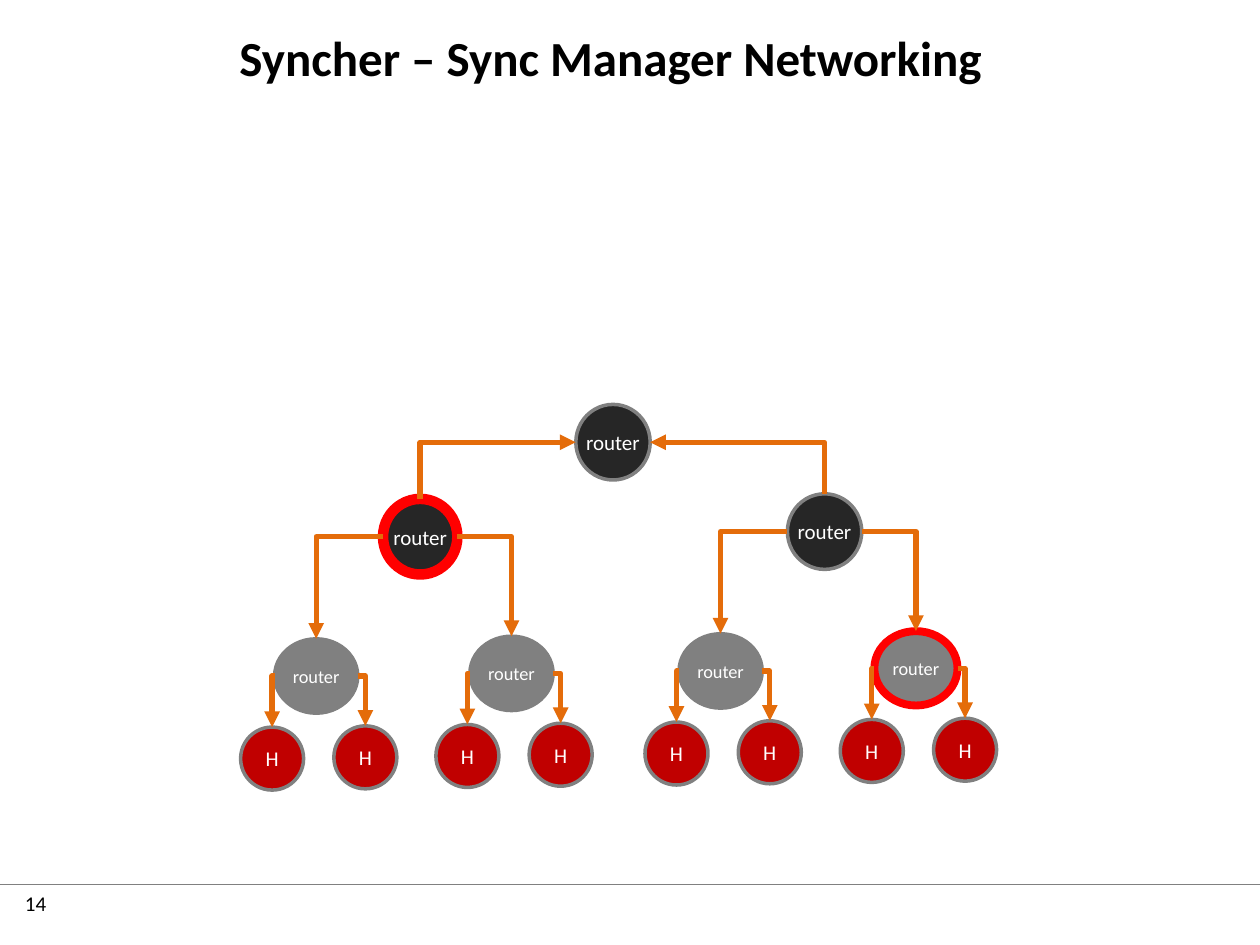
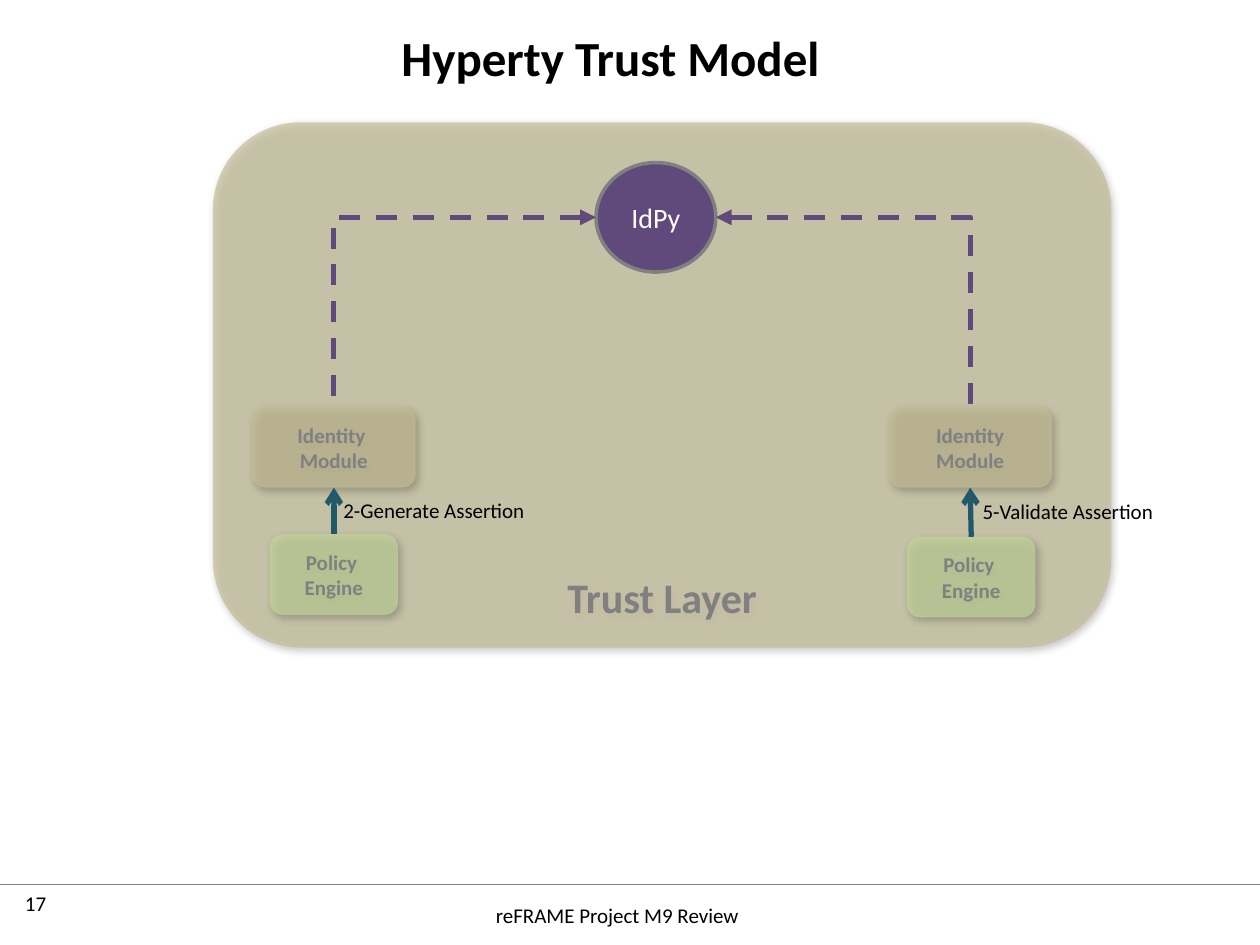
from dataclasses import dataclass

from lxml import etree
from pptx import Presentation
from pptx.dml.color import RGBColor
from pptx.enum import dml, shapes, text
from pptx.oxml.ns import qn
from pptx.util import Pt


@dataclass(frozen=True)
class Theme:
    font: str = "Calibri"
    ink: str = "000000"
    white: str = "FFFFFF"
    grey: str = "808080"
    dark: str = "262626"
    host: str = "C00000"
    highlight: str = "FF0000"
    link: str = "E46C0A"
    identity: str = "604A7B"
    assertion: str = "215968"
    sand: str = "C4BD97"
    green: str = "C3D69B"
    title_size: float = 28
    layer_size: float = 24
    provider_size: float = 16
    body_size: float = 12
    small_size: float = 10.5
    outline: float = 2
    arrow: float = 3


LEFT_SITE, RIGHT_SITE = 2, 6  # connection sites of an ellipse
TOP_SIDE, BOTTOM_SIDE = 0, 2  # connection sites of a rectangle


def add_xml(parent, tag, **attributes):
    return etree.SubElement(parent, qn(tag), {key: str(value) for key, value in attributes.items()})


def centred(centre, size):
    """Left, top, width and height of a box given by its centre."""
    return [Pt(centre[i] - size[i] / 2) for i in (0, 1)] + [Pt(length) for length in size]


class SlideBuilder:
    def __init__(self, deck, theme):
        self.deck, self.theme, self.page = deck, theme, None

    def new_page(self, title, number, footer=None):
        theme = self.theme
        self.page = self.deck.slides.add_slide(self.deck.slide_layouts[5])
        heading = self.page.shapes.title
        heading.left, heading.top, heading.width, heading.height = Pt(65.5), Pt(13.7), Pt(566.6), Pt(37.4)
        self.set_text(heading.text_frame, [title], theme.title_size, bold=True)
        rule = self.page.shapes.add_connector(
            shapes.MSO_CONNECTOR.STRAIGHT, Pt(0), Pt(505.4), Pt(720), Pt(505.4))
        self.stroke(rule, theme.grey, 0.75)
        box = self.page.shapes.add_textbox(Pt(7.2), Pt(505.4), Pt(57.6), Pt(28.8))
        self.set_text(box.text_frame, [number], theme.body_size,
                      align=text.PP_ALIGN.LEFT, anchor=text.MSO_ANCHOR.TOP)
        if footer:
            box = self.page.shapes.add_textbox(Pt(33.8), Pt(508.3), Pt(638), Pt(28.8))
            self.set_text(box.text_frame, [footer], theme.body_size)

    def set_text(self, frame, lines, size, color=None, bold=False, tight=False,
                 align=text.PP_ALIGN.CENTER, anchor=text.MSO_ANCHOR.MIDDLE):
        """Fill one paragraph with line breaks; tight drops margins and wrapping."""
        frame.auto_size = text.MSO_AUTO_SIZE.NONE
        frame.word_wrap = not tight
        frame.vertical_anchor = anchor
        if tight:
            frame.margin_left = frame.margin_top = frame.margin_right = frame.margin_bottom = 0
        para = frame.paragraphs[0]
        para.alignment = align
        for index, line in enumerate(lines):
            if index:
                para.add_line_break()
            span = para.add_run()
            span.text = line
            span.font.name = self.theme.font
            span.font.size = Pt(size)
            span.font.bold = bold
            span.font.color.rgb = RGBColor.from_string(color or self.theme.ink)

    def label(self, words, centre, size):
        box = self.page.shapes.add_textbox(*centred(centre, size))
        self.set_text(box.text_frame, [words], self.theme.body_size, tight=True)

    def node(self, words, centre, size, fill, font_size, ring=None, ring_width=None):
        theme = self.theme
        shape = self.page.shapes.add_shape(shapes.MSO_SHAPE.OVAL, *centred(centre, size))
        shape.shadow.inherit = False
        shape.fill.solid()
        shape.fill.fore_color.rgb = RGBColor.from_string(fill)
        shape.line.color.rgb = RGBColor.from_string(ring or theme.grey)
        shape.line.width = Pt(ring_width or theme.outline)
        self.set_text(shape.text_frame, [words], font_size, theme.white, tight=True)
        return shape

    def card(self, lines, centre, size, fill, font_size, anchor=text.MSO_ANCHOR.MIDDLE):
        """Translucent rounded rectangle with a soft shadow."""
        shape = self.page.shapes.add_shape(shapes.MSO_SHAPE.ROUNDED_RECTANGLE, *centred(centre, size))
        shape.fill.solid()
        shape.fill.fore_color.rgb = RGBColor.from_string(fill)
        properties = shape.element.spPr
        add_xml(properties.find(qn("a:solidFill"))[0], "a:alpha", val=69000)
        shape.line.fill.background()
        shape.shadow.inherit = False
        shadow = add_xml(properties.find(qn("a:effectLst")), "a:outerShdw", blurRad=Pt(4.5),
                         dist=Pt(2.6), dir=53 * 60000, algn="ctr", rotWithShape=0)
        add_xml(add_xml(shadow, "a:srgbClr", val=self.theme.ink), "a:alpha", val=30000)
        self.set_text(shape.text_frame, lines, font_size, self.theme.grey, True, True, anchor=anchor)
        return shape

    def stroke(self, connector, color, width, dash=None, arrow_tag=None, arrow_type="triangle"):
        connector.line.color.rgb = RGBColor.from_string(color)
        connector.line.width = Pt(width)
        if dash:
            connector.line.dash_style = dash
        properties = connector.element.spPr
        if arrow_tag:
            add_xml(properties.find(qn("a:ln")), arrow_tag, type=arrow_type)
        add_xml(properties, "a:effectLst")

    def elbow(self, hub, child, color, arrow_tag="a:tailEnd", dash=None):
        """Run sideways out of the hub, then down to the top of the child."""
        child_x = child.left + child.width // 2
        to_left = child_x < hub.left + hub.width // 2
        connector = self.page.shapes.add_connector(
            shapes.MSO_CONNECTOR.ELBOW, hub.left if to_left else hub.left + hub.width,
            hub.top + hub.height // 2, child_x, child.top)
        connector.element.spPr.find(qn("a:prstGeom")).set("prst", "bentConnector2")
        ends = connector.element.nvCxnSpPr.cNvCxnSpPr
        add_xml(ends, "a:stCxn", id=hub.shape_id, idx=LEFT_SITE if to_left else RIGHT_SITE)
        add_xml(ends, "a:endCxn", id=child.shape_id, idx=TOP_SIDE)
        self.stroke(connector, color, self.theme.arrow, dash, arrow_tag)

    def riser(self, upper, lower, color):
        """Arrow that rises from the lower card to the upper one."""
        connector = self.page.shapes.add_connector(shapes.MSO_CONNECTOR.STRAIGHT, 0, 0, 0, 0)
        connector.begin_connect(upper, BOTTOM_SIDE)
        connector.end_connect(lower, TOP_SIDE)
        self.stroke(connector, color, self.theme.arrow, arrow_tag="a:headEnd", arrow_type="arrow")


def build_networking(builder):
    theme = builder.theme
    builder.new_page("Syncher – Sync Manager Networking", "14")
    core_size, edge_size, host_size = (42.5, 43.2), (47.5, 42.5), (36, 36)
    edge_offsets = [(-59.4, 79.6), (52.2, 78.1)]
    host_offsets = [(-25.2, 47.2), (28.1, 46.5)]
    # Centre, ring of the router, rings of its two edge routers
    branches = [
        ((240.1, 306.7), (theme.highlight, 6), [(), ()]),
        ((471.2, 303.8), (), [(), (theme.highlight, 4.5)]),
    ]
    root = builder.node("router", (350.3, 252.7), core_size, theme.dark, theme.body_size)
    for (x, y), ring, edge_rings in branches:
        core = builder.node("router", (x, y), core_size, theme.dark, theme.body_size, *ring)
        builder.elbow(root, core, theme.link, "a:headEnd")
        for (edge_dx, edge_dy), edge_ring in zip(edge_offsets, edge_rings):
            edge_x, edge_y = x + edge_dx, y + edge_dy
            edge = builder.node("router", (edge_x, edge_y), edge_size, theme.grey,
                                theme.small_size, *edge_ring)
            builder.elbow(core, edge, theme.link)
            for host_dx, host_dy in host_offsets:
                host = builder.node("H", (edge_x + host_dx, edge_y + host_dy), host_size,
                                    theme.host, theme.body_size)
                builder.elbow(edge, host, theme.link)


def build_trust_model(builder):
    theme = builder.theme
    builder.new_page("Hyperty Trust Model", "17", "reFRAME Project M9 Review")
    builder.card(["Trust Layer"], (378.4, 220), (513.4, 300.2), theme.sand,
                 theme.layer_size, text.MSO_ANCHOR.BOTTOM)
    provider = builder.node("IdPy", (374.8, 124.2), (68.4, 62.6), theme.identity, theme.provider_size)
    # Module lines, module x, engine centre, step, step centre
    sides = [
        (["Identity ", "Module"], 190.8, (190.8, 328.3), "2-Generate Assertion", (248, 291.6)),
        (["Identity", "Module"], 554.4, (555, 329.8), "5-Validate Assertion", (610.2, 292.3)),
    ]
    for module_lines, module_x, engine_centre, step, step_centre in sides:
        module = builder.card(module_lines, (module_x, 255.6), (93.6, 46.1), theme.sand, theme.body_size)
        engine = builder.card(["Policy ", "Engine"], engine_centre, (73.4, 46.1),
                              theme.green, theme.body_size)
        builder.riser(module, engine, theme.assertion)
        builder.label(step, step_centre, (92.9, 36))
        builder.elbow(provider, module, theme.identity, "a:headEnd", dml.MSO_LINE.DASH)


def main():
    deck = Presentation()
    deck.slide_width, deck.slide_height = Pt(720), Pt(540)
    builder = SlideBuilder(deck, Theme())
    build_networking(builder)
    build_trust_model(builder)
    deck.save("out.pptx")


if __name__ == "__main__":
    main()
